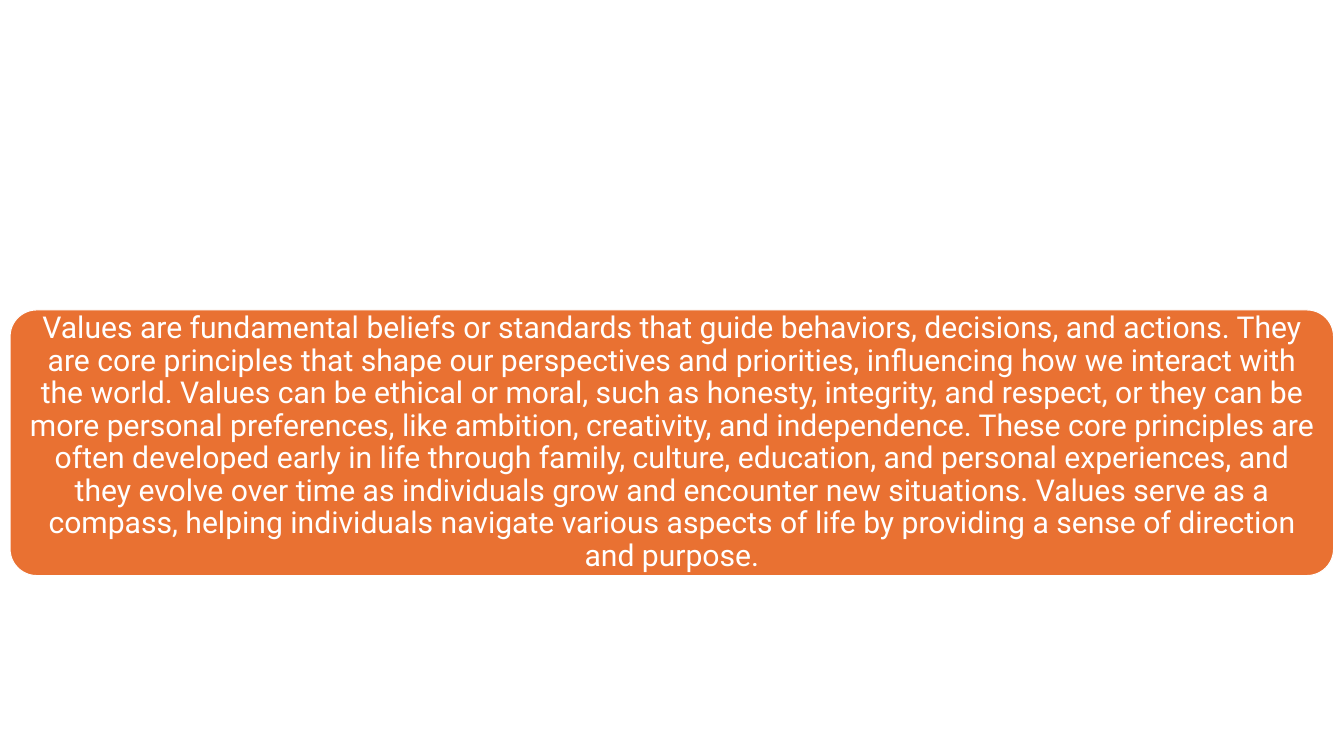
"""Build a slide with one rounded panel that explains what values are."""
from dataclasses import dataclass

from pptx import Presentation
from pptx.dml.color import RGBColor
from pptx.enum.shapes import MSO_SHAPE
from pptx.enum.text import MSO_ANCHOR, PP_ALIGN
from pptx.util import Pt

ROUND = MSO_SHAPE.ROUNDED_RECTANGLE
MIDDLE = MSO_ANCHOR.MIDDLE
CENTER = PP_ALIGN.CENTER


@dataclass(frozen=True)
class Theme:
    """Hold the colours, font and type size."""
    orange: RGBColor = RGBColor(0xE9, 0x71, 0x32)
    white: RGBColor = RGBColor(0xFF, 0xFF, 0xFF)
    font: str = "Roboto"
    size: Pt = Pt(43)


theme = Theme()
TEXT = (
    "Values are fundamental beliefs or standards that guide behaviors, "
    "decisions, and actions. They are core principles that shape our "
    "perspectives and priorities, influencing how we interact with the world. "
    "Values can be ethical or moral, such as honesty, integrity, and respect, "
    "or they can be more personal preferences, like ambition, creativity, and "
    "independence. These core principles are often developed early in life "
    "through family, culture, education, and personal experiences, and they "
    "evolve over time as individuals grow and encounter new situations. "
    "Values serve as a compass, helping individuals navigate various aspects "
    "of life by providing a sense of direction and purpose."
)

deck = Presentation()
deck.slide_width, deck.slide_height = Pt(1920), Pt(1080)
slide = deck.slides.add_slide(deck.slide_layouts[6])
slide.background.fill.solid()
slide.background.fill.fore_color.rgb = theme.white

panel = slide.shapes.add_shape(ROUND, Pt(14.4), Pt(442.8), Pt(1890.72), Pt(379.44))
panel.adjustments[0] = 0.1
panel.shadow.inherit = False
panel.fill.solid()
panel.fill.fore_color.rgb = theme.orange
panel.line.color.rgb = theme.white
panel.line.width = Pt(1.5)

frame = panel.text_frame
frame.word_wrap = True
frame.vertical_anchor = MIDDLE
for side in ("left", "top", "right", "bottom"):
    setattr(frame, f"margin_{side}", Pt(13))

para = frame.paragraphs[0]
para.text = TEXT
para.alignment = CENTER
para.line_spacing = 0.9
para.font.name = theme.font
para.font.size = theme.size
para.font.color.rgb = theme.white

deck.save("out.pptx")
